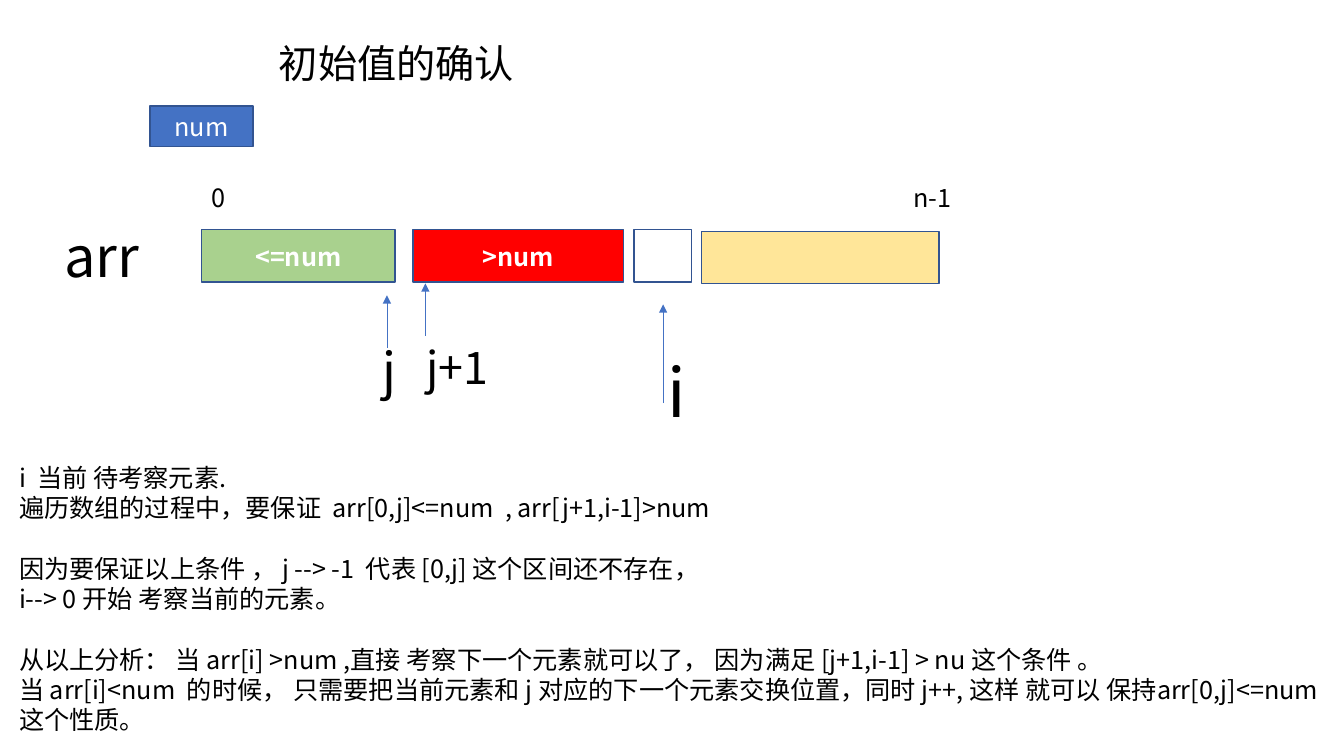
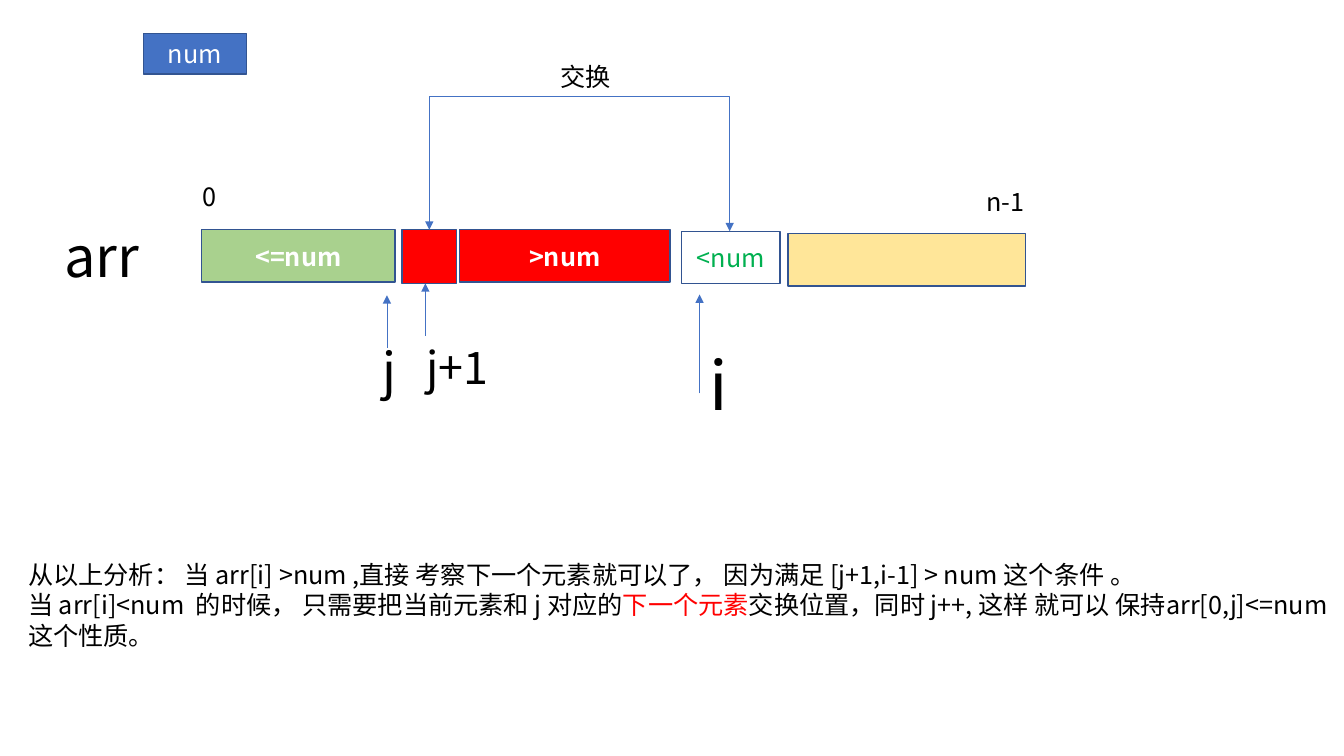
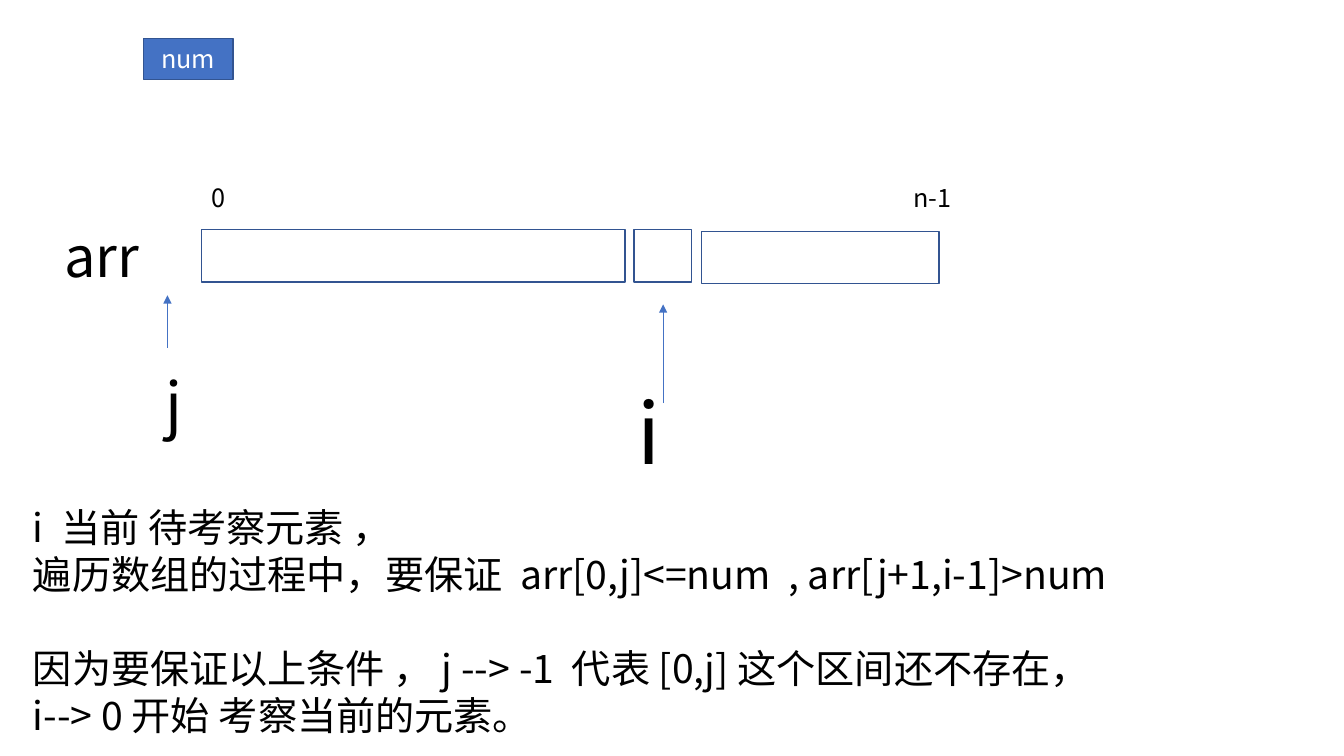
from dataclasses import dataclass

from lxml.etree import SubElement
from pptx import Presentation
from pptx.dml.color import RGBColor
from pptx.enum.shapes import MSO_CONNECTOR as Link, MSO_SHAPE as Preset
from pptx.enum.text import MSO_ANCHOR as Anchor, MSO_AUTO_SIZE as AutoSize, PP_ALIGN as Align
from pptx.oxml.ns import qn
from pptx.util import Cm, Pt

FONT = "Noto Sans CJK SC"
LINE_PITCH = 1.2
BLACK, WHITE, BLUE, EDGE = "000000", "FFFFFF", "4472C4", "325491"
GREEN, RED, YELLOW, LIME = "A9D18E", "FF0000", "FFE699", "00B050"
ROW_TOP, CELL_HEIGHT = 5.79, 1.32


@dataclass(frozen=True)
class Cell:
    """A bordered rectangle, by default in the array row."""
    left: float
    width: float
    fill: str = WHITE
    text: str = ""
    top: float = ROW_TOP
    height: float = CELL_HEIGHT
    color: str = WHITE
    bold: bool = False


@dataclass(frozen=True)
class Line:
    """A paragraph, with an optional empty line above and a red phrase."""
    text: str
    gap: bool = False
    marked: str = ""


@dataclass(frozen=True)
class Label:
    """A text box."""
    left: float
    top: float
    width: float
    height: float
    size: int
    lines: tuple[Line, ...]


@dataclass(frozen=True)
class Arrow:
    """A vertical pointer that ends at its tip."""
    x: float
    tip: float
    length: float


@dataclass(frozen=True)
class Swap:
    """A double-headed bracket that rises above two cells."""
    left: float
    right: float
    start: float
    end: float
    rise: float


Item = Cell | Label | Arrow | Swap


def rgb(color: str) -> RGBColor:
    """Turn a hex string into a colour."""
    return RGBColor.from_string(color)


def format_span(span, size: int, color: str, bold: bool = False) -> None:
    """Set the font of one run, for Latin and East Asian text."""
    font = span.font
    font.name, font.size, font.bold = FONT, Pt(size), bold
    font.color.rgb = rgb(color)
    SubElement(font._element, qn("a:ea"), typeface=FONT)


def draw_cell(page, cell: Cell) -> None:
    """Draw a rectangle with centred text."""
    box = page.shapes.add_shape(Preset.RECTANGLE, Cm(cell.left), Cm(cell.top),
                                Cm(cell.width), Cm(cell.height))
    box.shadow.inherit = False
    box.fill.solid()
    box.fill.fore_color.rgb = rgb(cell.fill)
    box.line.color.rgb = rgb(EDGE)
    box.line.width = Pt(1)
    if cell.text:
        frame = box.text_frame
        frame.text = cell.text
        frame.vertical_anchor = Anchor.MIDDLE
        para = frame.paragraphs[0]
        para.alignment = Align.CENTER
        para.line_spacing = Pt(18 * LINE_PITCH)
        format_span(para.runs[0], 18, cell.color, cell.bold)


def draw_label(page, label: Label) -> None:
    """Draw a text box, one paragraph for each line."""
    box = page.shapes.add_textbox(Cm(label.left), Cm(label.top),
                                  Cm(label.width), Cm(label.height))
    frame = box.text_frame
    frame.word_wrap = True
    frame.auto_size = AutoSize.SHAPE_TO_FIT_TEXT
    pitch = Pt(label.size * LINE_PITCH)
    for index, line in enumerate(label.lines):
        para = frame.add_paragraph() if index else frame.paragraphs[0]
        para.line_spacing = pitch
        if line.gap:
            para.space_before = pitch
        parts = line.text.partition(line.marked) if line.marked else (line.text,)
        for part in parts:
            span = para.add_run()
            span.text = part
            format_span(span, label.size, RED if part == line.marked else BLACK)


def style_connector(link, *ends: str) -> None:
    """Give a connector its thin blue line and its arrowheads."""
    link.line.color.rgb = rgb(BLUE)
    link.line.width = Pt(0.5)
    stroke = link.line._get_or_add_ln()
    for end in ends:
        SubElement(stroke, qn(f"a:{end}"), type="triangle")
    SubElement(link._element.spPr, qn("a:effectLst"))


def draw_arrow(page, arrow: Arrow) -> None:
    """Draw a pointer upwards."""
    link = page.shapes.add_connector(Link.STRAIGHT, Cm(arrow.x), Cm(arrow.tip + arrow.length),
                                     Cm(arrow.x), Cm(arrow.tip))
    style_connector(link, "tailEnd")


def draw_swap(page, swap: Swap) -> None:
    """Draw the bracket as an elbow connector turned by 270 degrees."""
    drop, span = swap.end - swap.start, swap.right - swap.left
    left = (swap.left + swap.right - drop) / 2
    top = (swap.start + swap.end - span) / 2
    link = page.shapes.add_connector(Link.ELBOW, Cm(left), Cm(top),
                                     Cm(left + drop), Cm(top + span))
    properties = link._element.spPr
    frame = properties.find(qn("a:xfrm"))
    frame.set("rot", str(270 * 60000))
    frame.set("flipH", "1")
    guides = properties.find(qn("a:prstGeom")).find(qn("a:avLst"))
    bend = round(-swap.rise / drop * 100000)
    SubElement(guides, qn("a:gd"), name="adj1", fmla=f"val {bend}")
    style_connector(link, "headEnd", "tailEnd")


DRAWERS = {Cell: draw_cell, Label: draw_label, Arrow: draw_arrow, Swap: draw_swap}


def caption(left: float, top: float, width: float, height: float, size: int, text: str) -> Label:
    """Make a label with one line."""
    return Label(left, top, width, height, size, (Line(text),))


def num_box(left: float, top: float, width: float = 2.6) -> Cell:
    """Make the box that holds the pivot."""
    return Cell(left, width, BLUE, "num", top, 1.03)


def bounds(first: tuple[float, float], last: tuple[float, float]) -> list[Item]:
    """Make the labels of the first and last index."""
    return [caption(*first, 1.12, 1.03, 18, "0"), caption(*last, 1.85, 1.03, 18, "n-1")]


def above_num(left: float) -> Cell:
    """Make the red part of the array."""
    return Cell(left, 5.31, RED, ">num", bold=True)


def invariant(ending: str) -> tuple[Line, ...]:
    """Make the lines on the condition and the start values."""
    return (Line(f"i  当前 待考察元素{ending}"),
            Line("遍历数组的过程中，要保证  arr[0,j]<=num  , arr[j+1,i-1]>num"),
            Line("因为要保证以上条件 ， j --> -1  代表 [0,j] 这个区间还不存在，", gap=True),
            Line("i--> 0 开始 考察当前的元素。"))


def analysis(bound: str, gap: bool = False, marked: str = "") -> tuple[Line, ...]:
    """Make the lines on the two cases."""
    return (Line(f"从以上分析： 当 arr[i] >num ,直接 考察下一个元素就可以了， "
                 f"因为满足 [j+1,i-1] > {bound} 这个条件 。", gap),
            Line("当 arr[i]<num  的时候， 只需要把当前元素和 j 对应的下一个元素交换位置，"
                 "同时 j++, 这样 就可以 保持arr[0,j]<=num 这个性质。", marked=marked))


ARRAY_NAME = caption(1.37, 5.46, 2.54, 1.96, 40, "arr")
LEFT_PART: list[Item] = [
    Cell(5.08, 4.88, GREEN, "<=num", bold=True),
    Arrow(9.75, 7.44, 1.32), caption(9.4, 8.41, 0.74, 1.8, 36, "j"),
    Arrow(10.72, 7.14, 1.32), caption(10.49, 8.43, 3.2, 1.63, 32, "j+1"),
]
CURRENT: list[Item] = [Cell(15.98, 1.45), Arrow(16.71, 7.67, 2.49)]
WIDE_BOUNDS = bounds((5.08, 4.47), (22.76, 4.47))
REST_LEFT, REST_WIDTH, REST_TOP = 17.68, 5.99, 5.83

PAGES: list[list[Item]] = [
    [
        *LEFT_PART, above_num(10.41), *CURRENT, *WIDE_BOUNDS,
        Cell(REST_LEFT, REST_WIDTH, YELLOW, top=REST_TOP),
        caption(16.56, 8.71, 1.12, 2.31, 48, "i"),
        num_box(3.78, 2.67),
        caption(6.78, 0.86, 19.71, 1.45, 28, "初始值的确认"),
        Label(0.23, 11.53, 33.43, 8.71, 18, invariant(".") + analysis("nu", gap=True)),
    ],
    [
        *LEFT_PART, above_num(11.58),
        Cell(10.13, 1.37, RED, height=1.35),
        Cell(17.17, 2.49, WHITE, "<num", REST_TOP, color=LIME),
        Cell(19.86, REST_WIDTH, YELLOW, top=5.89),
        Arrow(17.63, 7.42, 2.49), caption(17.63, 8.53, 1.12, 2.31, 48, "i"),
        *bounds((4.85, 4.45), (24.61, 4.57)),
        num_box(3.61, 0.84),
        Swap(10.82, 18.39, ROW_TOP, REST_TOP, 3.35),
        caption(13.87, 1.42, 2.79, 1.03, 18, "交换"),
        Label(0.46, 13.97, 33.43, 4.11, 18, analysis("num", marked="下一个元素")),
    ],
    [
        Cell(5.08, 10.67), *CURRENT, *WIDE_BOUNDS,
        Cell(REST_LEFT, REST_WIDTH, top=REST_TOP),
        Arrow(4.22, 7.44, 1.32), caption(3.91, 9.09, 0.74, 2.13, 44, "j"),
        caption(15.82, 9.47, 1.45, 2.82, 60, "i"),
        num_box(3.61, 0.97, 2.26),
        Label(0.58, 12.55, 32.23, 9.83, 28, invariant(" ，")),
    ],
]


def build() -> None:
    """Draw every slide and save the deck."""
    deck = Presentation()
    deck.slide_width, deck.slide_height = Cm(33.87), Cm(19.05)
    for items in PAGES:
        page = deck.slides.add_slide(deck.slide_layouts[6])
        for item in [ARRAY_NAME, *items]:
            DRAWERS[type(item)](page, item)
    deck.save("out.pptx")


build()
